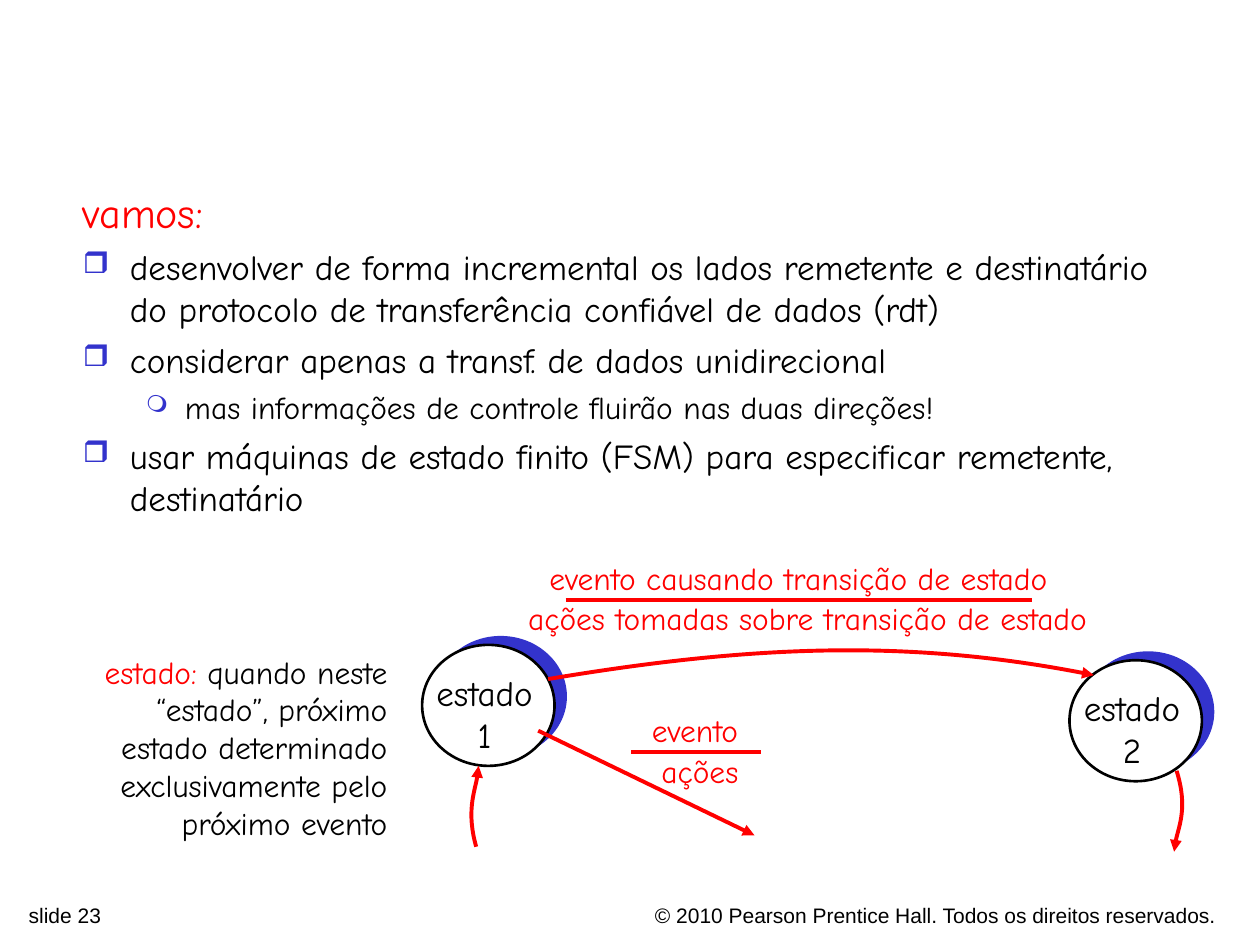
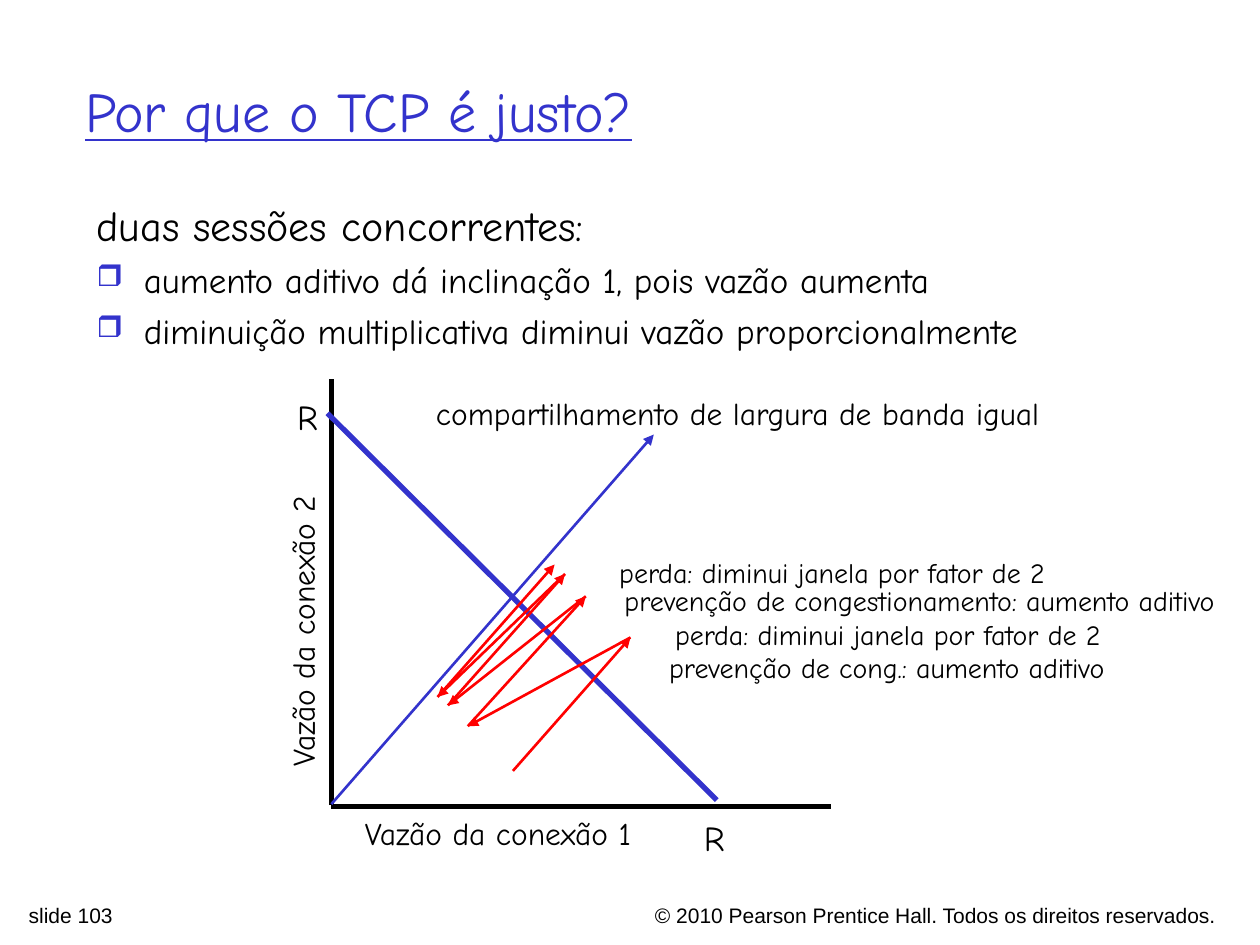
from dataclasses import dataclass
from itertools import pairwise
from typing import Any, NamedTuple

from lxml import etree
from pptx import Presentation
from pptx.dml.color import RGBColor
from pptx.enum.shapes import MSO_CONNECTOR, MSO_SHAPE
from pptx.enum.text import MSO_ANCHOR, PP_ALIGN
from pptx.oxml.ns import qn
from pptx.util import Cm, Pt

LEFT, CENTER, RIGHT = PP_ALIGN.LEFT, PP_ALIGN.CENTER, PP_ALIGN.RIGHT
TOP, MIDDLE = MSO_ANCHOR.TOP, MSO_ANCHOR.MIDDLE
OVAL = MSO_SHAPE.OVAL
STRAIGHT = MSO_CONNECTOR.STRAIGHT

BLACK, WHITE, BLUE, RED = "000000", "FFFFFF", "3333CC", "FF0000"
HAND_FONT, FOOTER_FONT = "Comic Neue", "Arial"
COPYRIGHT = "© 2010 Pearson Prentice Hall. Todos os direitos reservados."

Point = tuple[float, float]


class Box(NamedTuple):
    """Left, top, width and height in centimetres."""
    left: float
    top: float
    width: float
    height: float


class Bullet(NamedTuple):
    symbol: str
    percent: int


@dataclass(frozen=True)
class Paragraph:
    """Runs are pairs of wording and colour; lengths are in centimetres."""
    runs: tuple[tuple[str, str], ...]
    size: float = 18
    font: str = HAND_FONT
    align: Any = LEFT
    underline: bool = False
    indent: float = 0
    hanging: float = 0
    before: float = 0
    bullet: Bullet | None = None


@dataclass(frozen=True)
class Label:
    """A centred caption, one paragraph for each line of wording."""
    wording: str
    box: Box
    color: str = BLACK
    size: float = 18
    rotation: float = 0


@dataclass(frozen=True)
class Stroke:
    start: Point
    end: Point
    color: str
    width: float
    arrow: bool = False


def rgb(color: str) -> RGBColor:
    return RGBColor.from_string(color)


def set_format(target: Any, values: dict[str, Any]) -> None:
    for name, value in values.items():
        setattr(target, name, value)


def lengths(values: tuple[float, ...]) -> list[Cm]:
    return [Cm(value) for value in values]


def heading(wording: str, color: str) -> Paragraph:
    return Paragraph(((wording, color),), 24, indent=0.95, hanging=0.95)


def item(wording: str) -> Paragraph:
    return Paragraph(((wording, BLACK),), 20, indent=0.95, hanging=0.95,
                     before=5, bullet=Bullet("❒", 85))


def subitem(wording: str) -> Paragraph:
    return Paragraph(((wording, BLACK),), 18, indent=2.06, hanging=0.79,
                     before=4.5, bullet=Bullet("❍", 75))


def add_bullet(properties: Any, bullet: Bullet) -> None:
    color = etree.SubElement(properties, qn("a:buClr"))
    etree.SubElement(color, qn("a:srgbClr"), val=BLUE)
    etree.SubElement(properties, qn("a:buSzPct"), val=str(bullet.percent * 1000))
    etree.SubElement(properties, qn("a:buChar"), char=bullet.symbol)


def add_text(shapes: Any, box: Box, content: list[Paragraph],
             anchor: Any = TOP, wrap: bool = True) -> Any:
    text_box = shapes.add_textbox(*lengths(box))
    frame = text_box.text_frame
    set_format(frame, {"word_wrap": wrap, "vertical_anchor": anchor})
    for index, part in enumerate(content):
        paragraph = frame.add_paragraph() if index else frame.paragraphs[0]
        properties = paragraph._p.get_or_add_pPr()
        properties.set("marL", str(Cm(part.indent)))
        properties.set("indent", str(Cm(-part.hanging)))
        if part.bullet:
            add_bullet(properties, part.bullet)
        set_format(paragraph, {"alignment": part.align, "space_before": Pt(part.before)})
        for wording, color in part.runs:
            run = paragraph.add_run()
            run.text = wording
            set_format(run.font, {"name": part.font, "size": Pt(part.size),
                                  "underline": part.underline})
            run.font.color.rgb = rgb(color)
    return text_box


def add_label(shapes: Any, label: Label) -> None:
    lines = [Paragraph(((line, label.color),), label.size, align=CENTER)
             for line in label.wording.split("\n")]
    add_text(shapes, label.box, lines, wrap=False).rotation = label.rotation


def style_line(outlined: Any, color: str, width: float, arrow: bool) -> None:
    """Colour a connector or open curve, drop its shadow, add its arrowhead."""
    outlined.line.color.rgb = rgb(color)
    outlined.line.width = Pt(width)
    properties = outlined._element.spPr
    if arrow:
        etree.SubElement(properties.find(qn("a:ln")), qn("a:tailEnd"), type="triangle")
    etree.SubElement(properties, qn("a:effectLst"))


def add_stroke(shapes: Any, stroke: Stroke) -> None:
    connector = shapes.add_connector(STRAIGHT, *lengths(stroke.start + stroke.end))
    style_line(connector, stroke.color, stroke.width, stroke.arrow)


def add_curved_arrow(shapes: Any, points: list[Point]) -> None:
    """Draw a cubic curve from its start, two control points and end."""
    start, *others = [lengths(point) for point in points]
    builder = shapes.build_freeform(*start)
    builder.add_line_segments(others, close=False)
    arrow = builder.convert_to_shape()
    arrow.fill.background()
    outline = arrow._element.spPr.find(".//" + qn("a:path"))
    curve = etree.SubElement(outline, qn("a:cubicBezTo"))
    for segment in outline.findall(qn("a:lnTo")):
        curve.append(segment[0])
        outline.remove(segment)
    style_line(arrow, RED, 2.25, True)


def add_state(shapes: Any, left: float, top: float, number: int) -> None:
    group = shapes.add_group_shape().shapes
    for dx, dy, fill in ((0.25, -0.18, BLUE), (0, 0, WHITE)):
        disc = group.add_shape(OVAL, *lengths((left + dx, top + dy, 2.67, 2.44)))
        disc.shadow.inherit = False
        disc.fill.solid()
        disc.fill.fore_color.rgb = rgb(fill)
        if fill == WHITE:
            disc.line.color.rgb = rgb(BLACK)
            disc.line.width = Pt(1.5)
        else:
            disc.line.fill.background()
    caption = Box(left + 0.03, top + 0.41, 2.46, 1.96)
    add_label(group, Label(f"estado\n{number}", caption, size=20))


def new_slide(deck: Any, number: int) -> Any:
    """Add a blank slide with the common footer and return its shapes."""
    shapes = deck.slides.add_slide(deck.slide_layouts[6]).shapes
    for wording, box, align in (
        (COPYRIGHT, Box(11.79, 18.06, 12.98, 0.6), RIGHT),
        (f"slide {number}", Box(0.33, 18.06, 8.94, 0.6), LEFT),
    ):
        add_text(shapes, box, [Paragraph(((wording, BLACK),), 12, FOOTER_FONT, align)])
    return shapes


def build_state_machine(deck: Any) -> None:
    shapes = new_slide(deck, 23)
    add_text(shapes, Box(1.42, 3.63, 22.81, 7.29), [
        heading("vamos:", RED),
        item("desenvolver de forma incremental os lados remetente e destinatário "
             "do protocolo de transferência confiável de dados (rdt)"),
        item("considerar apenas a transf. de dados unidirecional"),
        subitem("mas informações de controle fluirão nas duas direções!"),
        item("usar máquinas de estado finito (FSM) para especificar remetente, "
             "destinatário"),
    ])
    add_state(shapes, 8.51, 13.0, 1)
    add_state(shapes, 21.56, 13.31, 2)

    state_note = (("estado:", RED),
                  (" quando neste “estado”, próximo estado determinado "
                   "exclusivamente pelo próximo evento", BLACK))
    add_text(shapes, Box(0.36, 13.03, 7.7, 3.43),
             [Paragraph(state_note, align=RIGHT, indent=0.95, hanging=0.95)])

    for transition in (
        [(11.05, 13.69), (15.16, 13.0), (18.44, 12.88), (22.05, 13.61)],
        [(9.6, 17.07), (9.4, 16.36), (9.65, 15.7), (9.65, 15.44)],
        [(23.72, 15.54), (23.95, 16.28), (23.67, 16.92), (23.67, 17.17)],
    ):
        add_curved_arrow(shapes, transition)
    for stroke in (
        Stroke((11.4, 12.09), (20.8, 12.09), RED, 2.25),
        Stroke((12.73, 15.16), (15.34, 15.16), RED, 2.25),
        Stroke((10.85, 14.73), (15.21, 16.84), RED, 2.25, arrow=True),
    ):
        add_stroke(shapes, stroke)
    for wording, box in (
        ("evento causando transição de estado", Box(10.8, 11.15, 10.59, 1.02)),
        ("ações tomadas sobre transição de estado", Box(10.36, 11.96, 11.84, 1.02)),
        ("evento", Box(12.88, 14.2, 2.26, 1.02)),
        ("ações", Box(13.08, 15.04, 2.06, 1.02)),
    ):
        add_label(shapes, Label(wording, box, RED))


def build_fairness(deck: Any) -> None:
    shapes = new_slide(deck, 103)
    add_text(shapes, Box(1.47, 0.64, 21.59, 3.18),
             [Paragraph((("Por que o TCP é justo?", BLUE),), 32, underline=True)],
             anchor=MIDDLE)
    add_text(shapes, Box(1.7, 3.89, 23.06, 12.9), [
        heading("duas sessões concorrentes:", BLACK),
        item("aumento aditivo dá inclinação 1, pois vazão aumenta"),
        item("diminuição multiplicativa diminui vazão proporcionalmente"),
    ])

    axes_and_guides = [
        Stroke((6.68, 16.26), (16.76, 16.26), BLACK, 3),
        Stroke((6.68, 16.23), (6.68, 7.65), BLACK, 3),
        Stroke((6.68, 16.21), (13.18, 8.76), BLUE, 1.5, arrow=True),
        Stroke((6.6, 8.33), (14.45, 16.13), BLUE, 3),
    ]
    throughput = [(10.34, 15.54), (12.71, 12.85), (9.43, 14.64), (11.81, 12.02),
                  (9.03, 14.22), (11.39, 11.57), (8.82, 14.05), (11.18, 11.38)]
    steps = [Stroke(start, end, RED, 1.5, arrow=True)
             for start, end in pairwise(throughput)]
    for stroke in axes_and_guides + steps:
        add_stroke(shapes, stroke)

    loss = "perda: diminui janela por fator de 2"
    for label in (
        Label("R", Box(5.64, 7.85, 1.12, 1.12), size=20),
        Label("R", Box(13.84, 16.33, 1.12, 1.12), size=20),
        Label("compartilhamento de largura de banda igual", Box(7.72, 7.82, 14.3, 1.02)),
        Label("Vazão da conexão 1", Box(5.11, 16.28, 9.86, 1.02)),
        Label("Vazão da conexão 2", Box(1.17, 12.22, 9.86, 1.02), rotation=270),
        Label(loss, Box(11.68, 11.07, 10.19, 0.94), size=16),
        Label("prevenção de congestionamento: aumento aditivo",
              Box(11.68, 11.63, 13.72, 0.94), size=16),
        Label(loss, Box(13.34, 12.32, 9.12, 0.94), size=16),
        Label("prevenção de cong.: aumento aditivo",
              Box(11.58, 12.98, 12.6, 0.94), size=16),
    ):
        add_label(shapes, label)


def main() -> None:
    deck = Presentation()
    set_format(deck, {"slide_width": Cm(25.4), "slide_height": Cm(19.05)})
    build_state_machine(deck)
    build_fairness(deck)
    deck.save("out.pptx")


if __name__ == "__main__":
    main()
